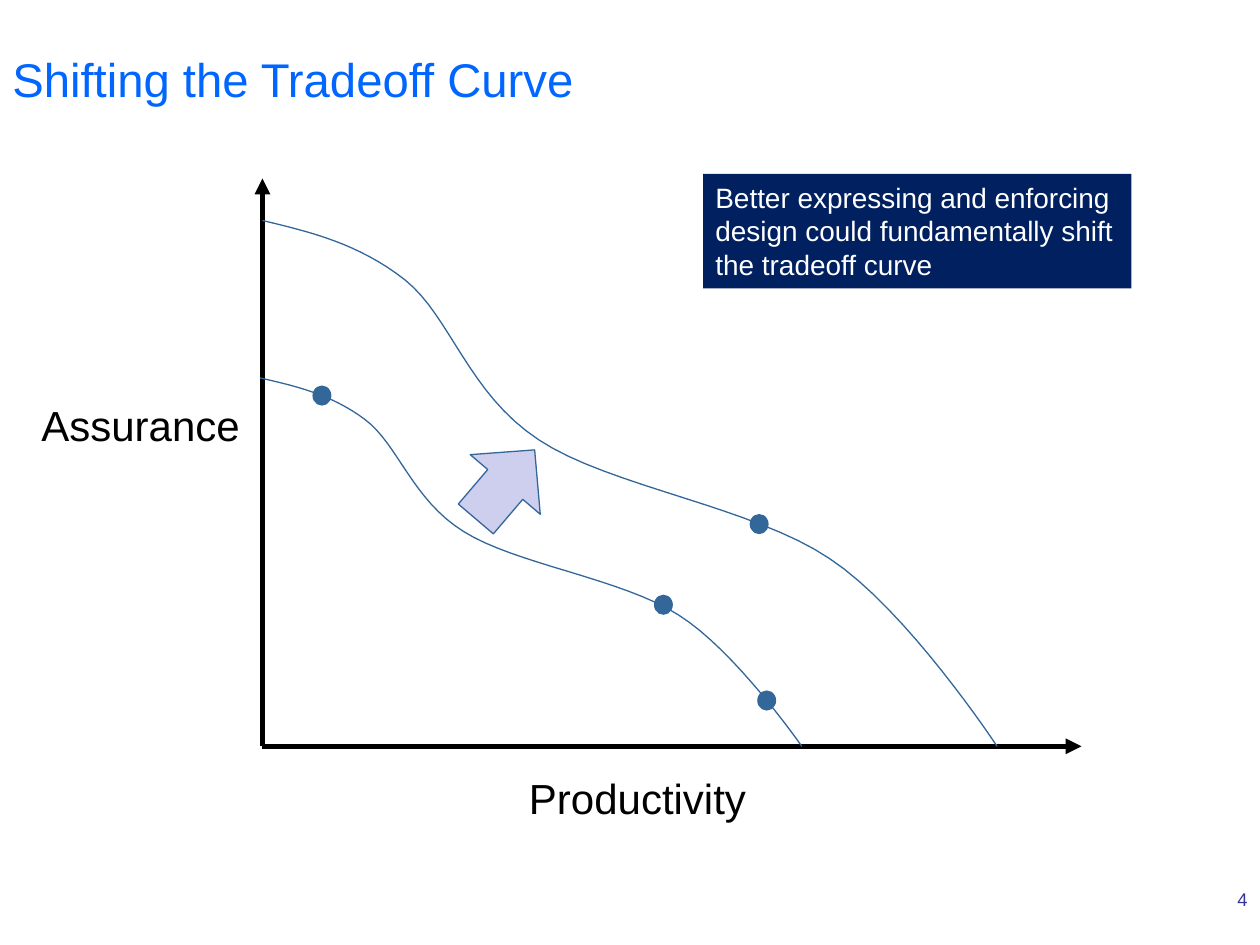
from lxml import etree
from pptx import Presentation
from pptx.dml.color import RGBColor
from pptx.enum.shapes import MSO_CONNECTOR, MSO_SHAPE
from pptx.enum.text import MSO_ANCHOR, PP_ALIGN
from pptx.oxml.ns import qn
from pptx.util import Pt

STRAIGHT = MSO_CONNECTOR.STRAIGHT
RECTANGLE = MSO_SHAPE.RECTANGLE
OVAL = MSO_SHAPE.OVAL
RIGHT_ARROW = MSO_SHAPE.RIGHT_ARROW
TOP = MSO_ANCHOR.TOP
MIDDLE = MSO_ANCHOR.MIDDLE
LEFT = PP_ALIGN.LEFT
RIGHT = PP_ALIGN.RIGHT

BLACK = RGBColor(0x00, 0x00, 0x00)
WHITE = RGBColor(0xFF, 0xFF, 0xFF)
TITLE_BLUE = RGBColor(0x00, 0x66, 0xFF)
NUMBER_BLUE = RGBColor(0x33, 0x33, 0x99)
CURVE_BLUE = RGBColor(0x33, 0x66, 0x99)
ARROW_LILAC = RGBColor(0xCE, 0xCE, 0xEF)
NAVY = RGBColor(0x00, 0x20, 0x60)

presentation = Presentation()
presentation.slide_width = Pt(720)
presentation.slide_height = Pt(540)
slide = presentation.slides.add_slide(presentation.slide_layouts[6])
shapes = slide.shapes


def write_text(shape, text, size, color, align=LEFT, anchor=TOP, wrap=True):
    frame = shape.text_frame
    frame.word_wrap = wrap
    frame.vertical_anchor = anchor
    paragraph = frame.paragraphs[0]
    paragraph.text = text
    paragraph.alignment = align
    paragraph.font.name = "Arial"
    paragraph.font.size = Pt(size)
    paragraph.font.color.rgb = color


title = shapes.add_textbox(0, 0, Pt(720), Pt(90))
write_text(title, "Shifting the Tradeoff Curve", size=27, color=TITLE_BLUE, anchor=MIDDLE)

slide_number = shapes.add_textbox(Pt(540), Pt(504), Pt(180), Pt(19.44))
write_text(slide_number, "4", size=10.5, color=NUMBER_BLUE, align=RIGHT)

origin_x, origin_y = 150, 426.5
for end_x, end_y in [(origin_x, 102), (618, origin_y)]:
    axis = shapes.add_connector(STRAIGHT, Pt(origin_x), Pt(origin_y), Pt(end_x), Pt(end_y))
    axis.line.color.rgb = BLACK
    axis.line.width = Pt(3)
    etree.SubElement(axis.line._get_or_add_ln(), qn("a:tailEnd"), type="triangle")
    etree.SubElement(axis._element.spPr, qn("a:effectLst"))

for text, left, top, width in [("Assurance", 16.56, 224.64, 128.88),
                               ("Productivity", 295.2, 437.76, 139.68)]:
    label = shapes.add_textbox(Pt(left), Pt(top), Pt(width), Pt(36))
    write_text(label, text, size=24, color=BLACK, wrap=False)

BEZIER_SHARES = [(0, 0), (0.065, 0.022), (0.13, 0.043), (0.194, 0.113),
                 (0.256, 0.182), (0.28, 0.329), (0.376, 0.417),
                 (0.472, 0.506), (0.667, 0.544), (0.772, 0.643),
                 (0.877, 0.739), (1, 1), (1, 1)]
STEPS = 16
curve_shares = [(0, 0)]
for start in range(0, len(BEZIER_SHARES) - 1, 3):
    controls = BEZIER_SHARES[start:start + 4]
    for step in range(1, STEPS + 1):
        t = step / STEPS
        weights = [(1 - t) ** 3, 3 * t * (1 - t) ** 2, 3 * t ** 2 * (1 - t), t ** 3]
        curve_shares.append(tuple(
            sum(weight * control[axis_index] for weight, control in zip(weights, controls))
            for axis_index in (0, 1)))

for left, top, width, height in [(148.6, 216, 309.6, 210.5), (150, 126, 419.8, 300.5)]:
    points = [(Pt(left + x * width), Pt(top + y * height)) for x, y in curve_shares]
    builder = shapes.build_freeform(*points[0])
    builder.add_line_segments(points[1:], close=False)
    curve = builder.convert_to_shape()
    curve.shadow.inherit = False
    curve.fill.background()
    curve.line.color.rgb = CURVE_BLUE
    curve.line.width = Pt(0.75)

shift_arrow = shapes.add_shape(RIGHT_ARROW, Pt(262.8), Pt(250.56), Pt(51.84), Pt(52.56))
shift_arrow.rotation = 310.4
shift_arrow.shadow.inherit = False
shift_arrow.fill.solid()
shift_arrow.fill.fore_color.rgb = ARROW_LILAC
shift_arrow.line.color.rgb = CURVE_BLUE
shift_arrow.line.width = Pt(0.75)

for left, top in [(428.4, 293.76), (178.56, 220.32), (373.68, 339.84), (432.72, 394.56)]:
    dot = shapes.add_shape(OVAL, Pt(left), Pt(top), Pt(10.8), Pt(11.52))
    dot.shadow.inherit = False
    dot.fill.solid()
    dot.fill.fore_color.rgb = CURVE_BLUE
    dot.line.fill.background()

callout = shapes.add_shape(RECTANGLE, Pt(401.76), Pt(99.36), Pt(244.8), Pt(65.52))
callout.shadow.inherit = False
callout.fill.solid()
callout.fill.fore_color.rgb = NAVY
callout.line.fill.background()
write_text(callout, "Better expressing and enforcing design could fundamentally shift the tradeoff curve",
           size=16, color=WHITE)

presentation.save("out.pptx")
